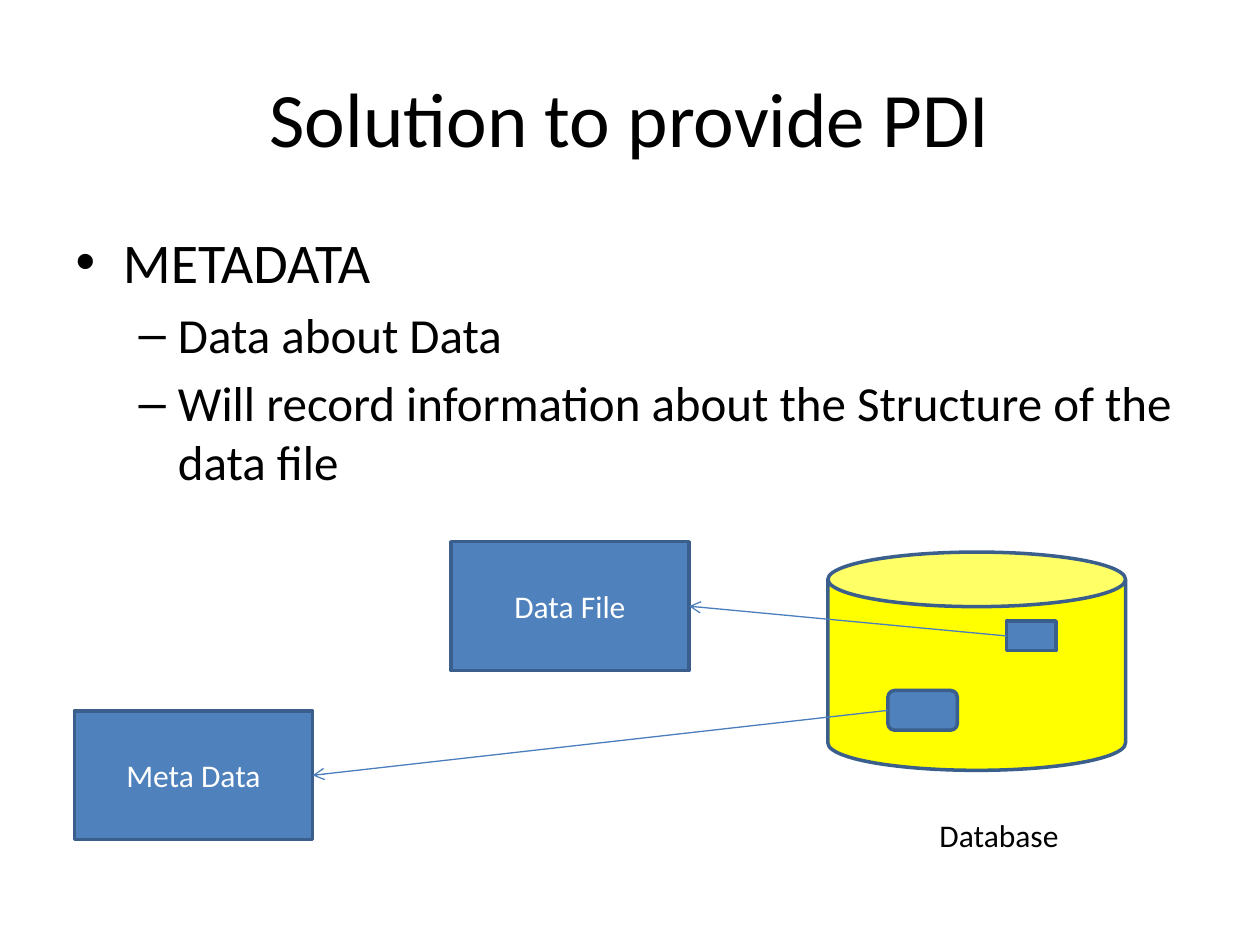
from lxml.etree import SubElement
from pptx import Presentation
from pptx.dml.color import RGBColor
from pptx.enum.shapes import MSO_CONNECTOR, MSO_SHAPE
from pptx.enum.text import MSO_ANCHOR, MSO_AUTO_SIZE, PP_ALIGN
from pptx.oxml.ns import qn
from pptx.util import Cm, Pt

# Content
TITLE = "Solution to provide PDI"
BULLETS = [
    (0, "METADATA"),
    (1, "Data about Data"),
    (1, "Will record information about the Structure of the data file"),
]
LEVEL_SIZES = [32, 28]
FONT = "Calibri"
BLUE, YELLOW, OUTLINE, ARROW = "4F81BD", "FFFF00", "3A5F8C", "4B7EBC"
BLACK, WHITE = "000000", "FFFFFF"

# Name: preset, (left, top, width, height) in cm, fill, label
DIAGRAM = {
    "data file": (MSO_SHAPE.RECTANGLE, (9.09, 10.92, 4.8, 2.6), BLUE, "Data File"),
    "database": (MSO_SHAPE.CAN, (16.69, 11.13, 6, 4.4), YELLOW, ""),
    "metadata": (MSO_SHAPE.RECTANGLE, (1.5, 14.33, 4.8, 2.6), BLUE, "Meta Data"),
    "stored file": (MSO_SHAPE.RECTANGLE, (20.29, 12.52, 1, 0.6), BLUE, ""),
    "stored metadata": (MSO_SHAPE.ROUNDED_RECTANGLE, (17.9, 13.92, 1.4, 0.8), BLUE, ""),
}
ARROWS = [("stored file", "data file"), ("stored metadata", "metadata")]
LEFT_SITE, RIGHT_SITE = 1, 3


def color(hex_string):
    return RGBColor.from_string(hex_string)


def place(shape, left, top, width, height):
    shape.left, shape.top = Cm(left), Cm(top)
    shape.width, shape.height = Cm(width), Cm(height)


def add_text(paragraph, text, size, text_color):
    run = paragraph.add_run()
    run.text = text
    run.font.name = FONT
    run.font.size = Pt(size)
    run.font.color.rgb = color(text_color)


def add_node(slide, preset, box, fill, label):
    shape = slide.shapes.add_shape(preset, *map(Cm, box))
    shape.shadow.inherit = False
    shape.fill.solid()
    shape.fill.fore_color.rgb = color(fill)
    shape.line.color.rgb = color(OUTLINE)
    shape.line.width = Pt(2)
    if label:
        shape.text_frame.vertical_anchor = MSO_ANCHOR.MIDDLE
        paragraph = shape.text_frame.paragraphs[0]
        paragraph.alignment = PP_ALIGN.CENTER
        add_text(paragraph, label, 18, WHITE)
    return shape


def add_arrow(slide, source, target):
    connector = slide.shapes.add_connector(MSO_CONNECTOR.STRAIGHT, 0, 0, 0, 0)
    connector.begin_connect(source, LEFT_SITE)
    connector.end_connect(target, RIGHT_SITE)
    connector.line.color.rgb = color(ARROW)
    connector.line.width = Pt(0.75)
    properties = connector._element.spPr
    SubElement(properties.find(qn("a:ln")), qn("a:tailEnd"), type="arrow")
    SubElement(properties, qn("a:effectLst"))


def main():
    presentation = Presentation()
    presentation.slide_width, presentation.slide_height = Cm(25.4), Cm(19.05)
    slide = presentation.slides.add_slide(presentation.slide_layouts[1])

    # Title and bullet list
    title, body = slide.placeholders
    place(title, 1.27, 0.76, 22.86, 3.18)
    add_text(title.text_frame.paragraphs[0], TITLE, 44, BLACK)
    place(body, 1.27, 4.45, 22.86, 12.57)
    for index, (level, text) in enumerate(BULLETS):
        frame = body.text_frame
        paragraph = frame.add_paragraph() if index else frame.paragraphs[0]
        paragraph.level = level
        add_text(paragraph, text, LEVEL_SIZES[level], BLACK)
    body.text_frame.paragraphs[0].space_before = Pt(0)

    # Files and database
    nodes = {name: add_node(slide, *details) for name, details in DIAGRAM.items()}
    for source, target in ARROWS:
        add_arrow(slide, nodes[source], nodes[target])

    # Database caption
    caption = slide.shapes.add_textbox(Cm(18.69), Cm(16.33), Cm(2.95), Cm(1.02))
    caption.text_frame.word_wrap = False
    caption.text_frame.auto_size = MSO_AUTO_SIZE.SHAPE_TO_FIT_TEXT
    add_text(caption.text_frame.paragraphs[0], "Database", 18, BLACK)

    presentation.save("out.pptx")


if __name__ == "__main__":
    main()
